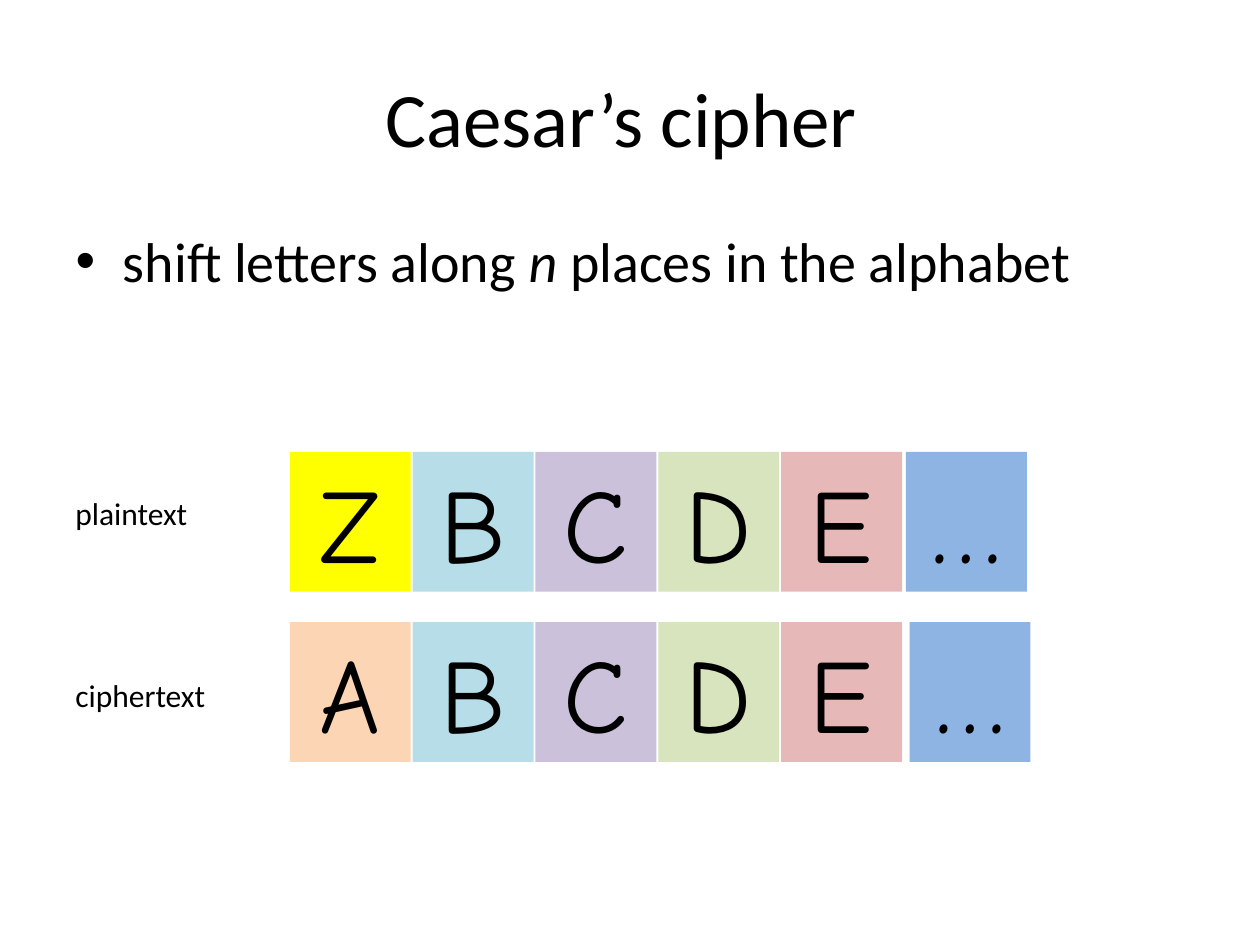
from pptx import Presentation
from pptx.dml.color import RGBColor
from pptx.enum.shapes import MSO_SHAPE
from pptx.enum.text import MSO_ANCHOR, MSO_AUTO_SIZE, PP_ALIGN
from pptx.util import Pt

LEFT, WIDE = 36, 648
TILE_X, STEP = 165.6, 70.2
TILE_W, TILE_H = 69.1, 79.9
SHADES = ["B7DEE8", "CCC1DA", "D7E4BD", "E6B9B8", "8EB4E3"]

# label, label top, tile top, first letter, first shade, left of the dots tile
ROWS = [
    ("plaintext", 278.6, 258.2, "Z", "FFFF00", 517.7),
    ("ciphertext", 383, 355.5, "A", "FCD5B5", 519.8),
]


def color(text):
    return RGBColor.from_string(text)


class Deck:
    """Holds the text style and the current slide."""

    ink = "000000"
    font = "Calibri"
    hand = "Comic Neue"

    def __init__(self, slide):
        self.slide = slide

    def add_text(self, para, text, size, font=None, italic=False):
        run = para.add_run()
        run.text = text
        run.font.size = Pt(size)
        run.font.name = font or self.font
        run.font.italic = italic
        run.font.color.rgb = color(self.ink)

    def place(self, shape, x, y, w, h):
        shape.left, shape.top = Pt(x), Pt(y)
        shape.width, shape.height = Pt(w), Pt(h)

    def title(self, text):
        shape = self.slide.shapes.title
        self.place(shape, LEFT, 21.6, WIDE, 90)
        para = shape.text_frame.paragraphs[0]
        para.alignment = PP_ALIGN.CENTER
        self.add_text(para, text, 44)

    def body(self, runs):
        """Fills the list with one item of (text, italic) runs."""
        shape = self.slide.placeholders[1]
        self.place(shape, LEFT, 126, WIDE, 356.4)
        para = shape.text_frame.paragraphs[0]
        for text, italic in runs:
            self.add_text(para, text, 32, italic=italic)

    def label(self, text, y):
        box = self.slide.shapes.add_textbox(Pt(LEFT), Pt(y), Pt(88.6), Pt(29))
        frame = box.text_frame
        frame.word_wrap = True
        frame.auto_size = MSO_AUTO_SIZE.SHAPE_TO_FIT_TEXT
        self.add_text(frame.paragraphs[0], text, 18)

    def tile(self, text, shade, x, y):
        box = self.slide.shapes.add_shape(
            MSO_SHAPE.RECTANGLE, Pt(x), Pt(y), Pt(TILE_W), Pt(TILE_H))
        box.shadow.inherit = False
        box.fill.solid()
        box.fill.fore_color.rgb = color(shade)
        box.line.fill.background()
        frame = box.text_frame
        frame.word_wrap = True
        frame.auto_size = MSO_AUTO_SIZE.SHAPE_TO_FIT_TEXT
        frame.vertical_anchor = MSO_ANCHOR.TOP
        para = frame.paragraphs[0]
        para.alignment = PP_ALIGN.CENTER
        self.add_text(para, text, 60, self.hand)


def main():
    show = Presentation()
    show.slide_width, show.slide_height = Pt(720), Pt(540)
    deck = Deck(show.slides.add_slide(show.slide_layouts[1]))

    deck.title("Caesar’s cipher ")
    deck.body([("shift letters along ", False), ("n", True),
               (" places in the alphabet", False)])
    for name, label_y, y, first, shade, dots_x in ROWS:
        deck.label(name, label_y)
        spots = [TILE_X + i * STEP for i in range(5)] + [dots_x]
        for text, fill, x in zip(first + "BCDE…", [shade] + SHADES, spots):
            deck.tile(text, fill, x, y)

    show.save("out.pptx")


if __name__ == "__main__":
    main()
